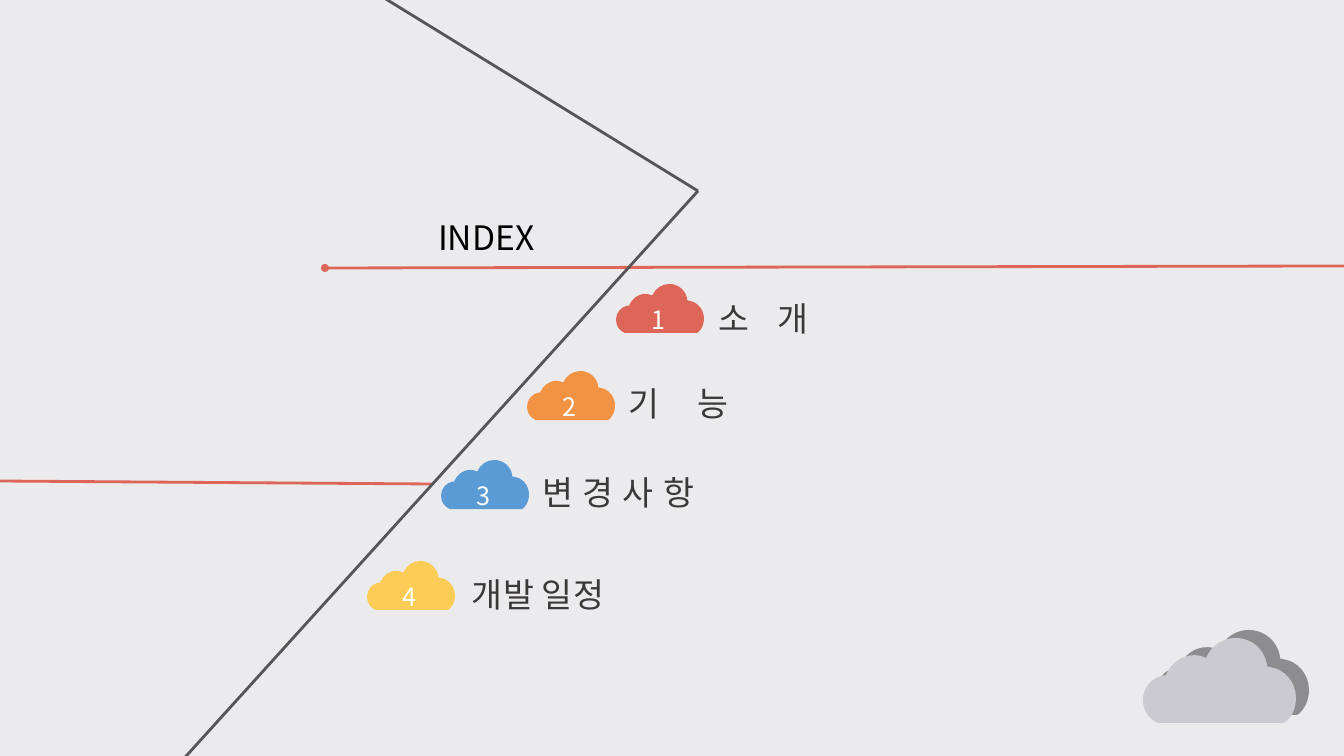
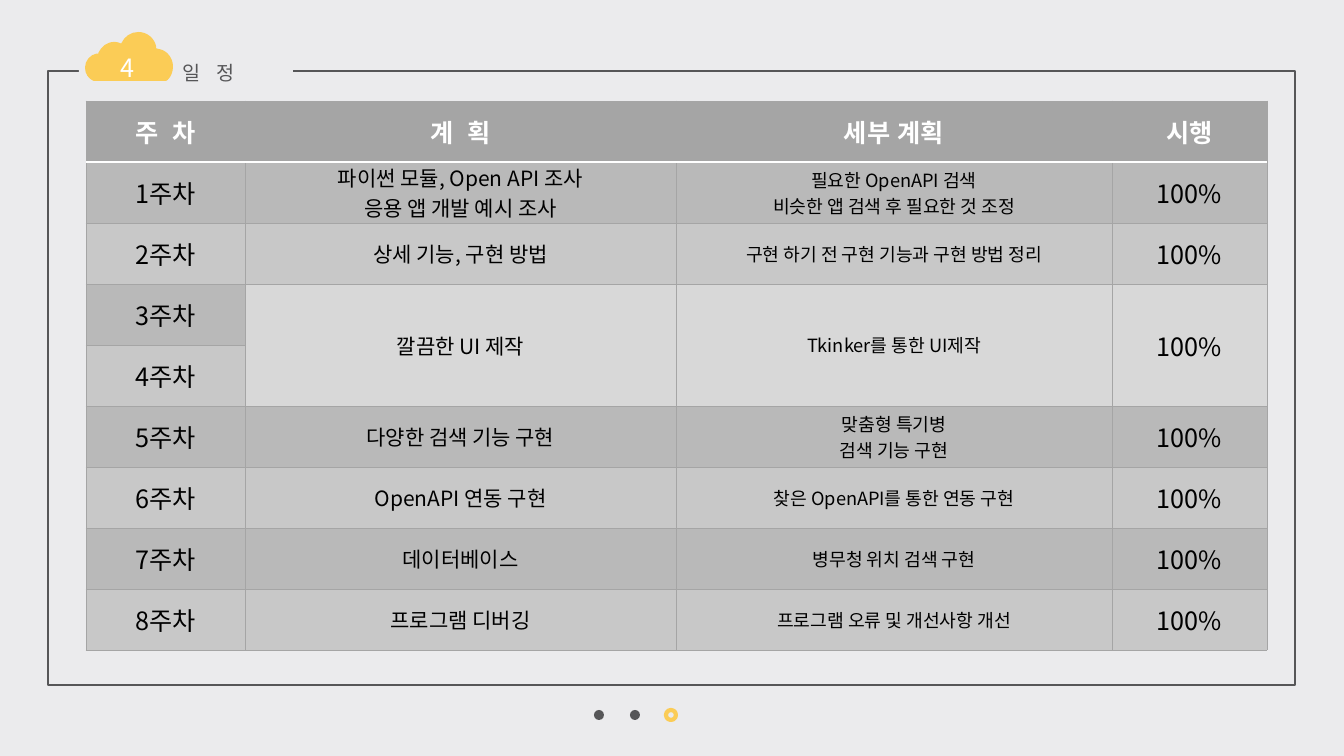
import dataclasses

import pptx
import pptx.dml.color
import pptx.enum.shapes
import pptx.enum.text
import pptx.oxml.ns
import pptx.util
from lxml import etree

ALIGN = pptx.enum.text.PP_ALIGN
ANCHOR = pptx.enum.text.MSO_ANCHOR
SHAPE = pptx.enum.shapes.MSO_SHAPE
EMU_PER_PX = 914400 / 100.8
SLIDE_SIZE = (1344, 756)
BADGE_SIZE = (88, 49)
CLOUD_SIZE = (152, 84)
CLOUD_START = (92, 0)
CLOUD_PATH = [
    [(108, 0), (120, 11), (123, 25)],
    [(123, 28)],
    [(127, 29)],
    [(141, 31), (152, 44), (152, 59)],
    [(152, 68), (149, 76), (143, 82)],
    [(140, 84)],
    [(16, 84)],
    [(15, 84)],
    [(6, 80), (0, 72), (0, 61)],
    [(0, 49), (9, 39), (20, 37)],
    [(23, 37)],
    [(23, 36)],
    [(28, 25), (38, 17), (51, 17)],
    [(55, 17), (59, 18), (63, 20)],
    [(63, 19)],
    [(68, 8), (79, 0), (92, 0)],
]


@dataclasses.dataclass(frozen=True)
class Theme:
    font: str = "Noto Sans CJK KR"
    background: str = "EBEBED"
    dark: str = "565658"
    label: str = "3B3838"
    black: str = "000000"
    white: str = "FFFFFF"
    red: str = "DE6658"
    orange: str = "F29343"
    blue: str = "5B9BD5"
    yellow: str = "FBCC56"
    cloud_back: str = "8D8D8F"
    cloud_front: str = "CACAD0"
    table_header: str = "A5A5A5"
    row_odd: str = "B9B9B9"
    row_even: str = "C8C8C8"
    row_merged: str = "D8D8D8"
    heading: int = 24
    medium: int = 18
    plan: int = 15
    section: int = 14
    detail: int = 13


THEME = Theme()

INDEX_ITEMS = [
    ("1", "소 개", THEME.red, (616, 284), (709, 293), 7.2),
    ("2", "기 능", THEME.orange, (527, 371), (619, 378), 10.9),
    ("3", "변 경 사 항", THEME.blue, (441, 460), (533, 467), 0.6),
    ("4", "개발 일정", THEME.yellow, (367, 561), (462, 569), 0.2),
]
SCHEDULE_HEADER = [("주 차", 2.7), ("계 획", 2.7), ("세부 계획", 0.3), ("시행", 0)]
SCHEDULE = [
    ("파이썬 모듈, Open API 조사\n응용 앱 개발 예시 조사", "필요한 OpenAPI 검색\n비슷한 앱 검색 후 필요한 것 조정"),
    ("상세 기능, 구현 방법", "구현 하기 전 구현 기능과 구현 방법 정리"),
    ("깔끔한 UI 제작", "Tkinker를 통한 UI제작"),
    None,
    ("다양한 검색 기능 구현", "맞춤형 특기병\n검색 기능 구현"),
    ("OpenAPI 연동 구현", "찾은 OpenAPI를 통한 연동 구현"),
    ("데이터베이스", "병무청 위치 검색 구현"),
    ("프로그램 디버깅", "프로그램 오류 및 개선사항 개선"),
]


def px(value):
    return pptx.util.Emu(round(value * EMU_PER_PX))


def rgb(color):
    return pptx.dml.color.RGBColor.from_string(color)


def write_text(frame, text, *, size, color, bold=False, align=ALIGN.LEFT, tracking=0):
    for index, line in enumerate(text.split("\n")):
        paragraph = frame.paragraphs[0] if index == 0 else frame.add_paragraph()
        paragraph.alignment = align
        run = paragraph.add_run()
        run.text = line
        run.font.size = pptx.util.Pt(size)
        run.font.bold = bold
        run.font.color.rgb = rgb(color)
        run.font.name = THEME.font
        properties = run.font._element
        etree.SubElement(properties, pptx.oxml.ns.qn("a:ea"), typeface=THEME.font)
        if tracking:
            properties.set("spc", str(round(tracking * 100)))


def fit_frame(frame, wrap=True):
    frame.word_wrap = wrap
    frame.vertical_anchor = ANCHOR.TOP
    frame.auto_size = pptx.enum.text.MSO_AUTO_SIZE.SHAPE_TO_FIT_TEXT


def add_text(shapes, box, text, wrap=True, **text_format):
    shape = shapes.add_textbox(*map(px, box))
    fit_frame(shape.text_frame, wrap)
    write_text(shape.text_frame, text, **text_format)


def set_title(slide, box, text, **text_format):
    title = slide.shapes.title
    title.left, title.top, title.width, title.height = map(px, box)
    fit_frame(title.text_frame)
    write_text(title.text_frame, text, **text_format)
    title.element.getparent().append(title.element)


def paint(shape, fill=None, line=None, width=2):
    shape.shadow.inherit = False
    if fill:
        shape.fill.solid()
        shape.fill.fore_color.rgb = rgb(fill)
    else:
        shape.fill.background()
    if line:
        shape.line.color.rgb = rgb(line)
        shape.line.width = pptx.util.Pt(width)
    else:
        shape.line.fill.background()


def add_preset(slide, preset, box, **style):
    shape = slide.shapes.add_shape(preset, *map(px, box))
    paint(shape, **style)


def add_line(slide, start, end, color):
    connector = slide.shapes.add_connector(
        pptx.enum.shapes.MSO_CONNECTOR.STRAIGHT, *map(px, start + end))
    connector.line.color.rgb = rgb(color)
    connector.line.width = pptx.util.Pt(2)
    etree.SubElement(connector.element.spPr, pptx.oxml.ns.qn("a:effectLst"))


def bend_segments(shape, segments):
    lines = list(shape.element.iter(pptx.oxml.ns.qn("a:lnTo")))
    for line, segment in zip(lines, segments):
        if len(segment) == 3:
            curve = etree.Element(pptx.oxml.ns.qn("a:cubicBezTo"))
            for x, y in segment:
                etree.SubElement(curve, pptx.oxml.ns.qn("a:pt"), x=str(x), y=str(y))
            line.getparent().replace(line, curve)


def add_cloud(shapes, box, color):
    left, top, width, height = box
    scale = (px(width) / CLOUD_SIZE[0], px(height) / CLOUD_SIZE[1])
    builder = shapes.build_freeform(*CLOUD_START, scale=scale)
    builder.add_line_segments([segment[-1] for segment in CLOUD_PATH], close=True)
    cloud = builder.convert_to_shape(px(left), px(top))
    bend_segments(cloud, CLOUD_PATH)
    paint(cloud, fill=color)


def add_badge(slide, position, number, color):
    left, top = position
    group = slide.shapes.add_group_shape()
    add_cloud(group.shapes, (left, top, *BADGE_SIZE), color)
    add_text(group.shapes, (left + 25, top + 15, 34, 40), number, wrap=False,
             size=THEME.medium, color=THEME.white, align=ALIGN.CENTER)


def add_index_lines(slide):
    add_line(slide, (325, 268), (1344, 266), THEME.red)
    add_line(slide, (368, -12), (698, 191), THEME.dark)
    add_line(slide, (-3, 481), (433, 484), THEME.red)
    add_line(slide, (179, 764), (698, 191), THEME.dark)
    add_preset(slide, SHAPE.OVAL, (321, 264, 8, 8), fill=THEME.red)


def build_index(slide):
    add_index_lines(slide)
    set_title(slide, (428, 212, 134, 50), "INDEX", size=THEME.heading, color=THEME.black)
    for number, label, color, badge, label_position, tracking in INDEX_ITEMS:
        add_badge(slide, badge, number, color)
        add_text(slide.shapes, (*label_position, 202, 50), label,
                 size=THEME.heading, color=THEME.label, tracking=tracking)
    add_cloud(slide.shapes, (1156, 630, 153, 85), THEME.cloud_back)
    add_cloud(slide.shapes, (1143, 638, 153, 85), THEME.cloud_front)


def add_border(cell, side, color, width):
    properties = cell._tc.get_or_add_tcPr()
    line = etree.SubElement(properties, pptx.oxml.ns.qn("a:ln" + side), w=str(pptx.util.Pt(width)))
    fill = etree.SubElement(line, pptx.oxml.ns.qn("a:solidFill"))
    etree.SubElement(fill, pptx.oxml.ns.qn("a:srgbClr"), val=color)


def style_cell(cell, fill, white_sides=""):
    for side in "LRTB":
        white = side in white_sides
        add_border(cell, side, THEME.white if white else THEME.table_header, 1 if white else 0.5)
    cell.fill.solid()
    cell.fill.fore_color.rgb = rgb(fill)
    cell.vertical_anchor = ANCHOR.MIDDLE
    cell.margin_top = cell.margin_bottom = 0


def write_cell(cell, text, size, color=THEME.black, **text_format):
    write_text(cell.text_frame, text, size=size, color=color, align=ALIGN.CENTER, **text_format)


def add_schedule_table(slide, left, top, column_widths, row_height):
    row_count = len(SCHEDULE) + 1
    table = slide.shapes.add_table(row_count, len(column_widths), px(left), px(top),
                                   px(sum(column_widths)), px(row_count * row_height)).table
    for column, width in zip(table.columns, column_widths):
        column.width = px(width)
    for row in table.rows:
        row.height = px(row_height)
    for column, (heading, tracking) in enumerate(SCHEDULE_HEADER):
        cell = table.cell(0, column)
        style_cell(cell, THEME.table_header, "B")
        write_cell(cell, heading, THEME.medium, THEME.white, bold=True, tracking=tracking)
    for week, entry in enumerate(SCHEDULE, 1):
        merged = entry is None or (week < len(SCHEDULE) and SCHEDULE[week] is None)
        band = THEME.row_odd if week % 2 else THEME.row_even
        for column in range(len(column_widths)):
            style_cell(table.cell(week, column), THEME.row_merged if merged and column else band,
                       "T" if week == 1 else "")
        write_cell(table.cell(week, 0), f"{week}주차", THEME.medium)
        if entry is None:
            for column in range(1, len(column_widths)):
                table.cell(week - 1, column).merge(table.cell(week, column))
            continue
        sizes = (THEME.plan, THEME.detail, THEME.medium)
        for column, (text, size) in enumerate(zip((*entry, "100%"), sizes), 1):
            write_cell(table.cell(week, column), text, size)


def add_page_dots(slide, left, top, count, gap):
    for index in range(count):
        style = {"line": THEME.yellow, "width": 3} if index == count - 1 else {"fill": THEME.dark}
        add_preset(slide, SHAPE.OVAL, (left + index * gap, top, 10, 10), **style)


def build_schedule(slide):
    add_preset(slide, SHAPE.RECTANGLE, (48, 71, 1247, 614), line=THEME.dark)
    add_page_dots(slide, 594, 710, 3, 36)
    add_preset(slide, SHAPE.RECTANGLE, (79, 57, 214, 29), fill=THEME.background)
    set_title(slide, (172, 56, 100, 34), "일 정", size=THEME.section, color=THEME.dark, tracking=4.2)
    add_badge(slide, (85, 32), "4", THEME.yellow)
    add_schedule_table(slide, 86, 101, (159, 431, 436, 155), 61)


def main():
    presentation = pptx.Presentation()
    presentation.slide_width, presentation.slide_height = map(px, SLIDE_SIZE)
    background = presentation.slide_master.background.fill
    background.solid()
    background.fore_color.rgb = rgb(THEME.background)
    for build in (build_index, build_schedule):
        build(presentation.slides.add_slide(presentation.slide_layouts[5]))
    presentation.save("out.pptx")


if __name__ == "__main__":
    main()
